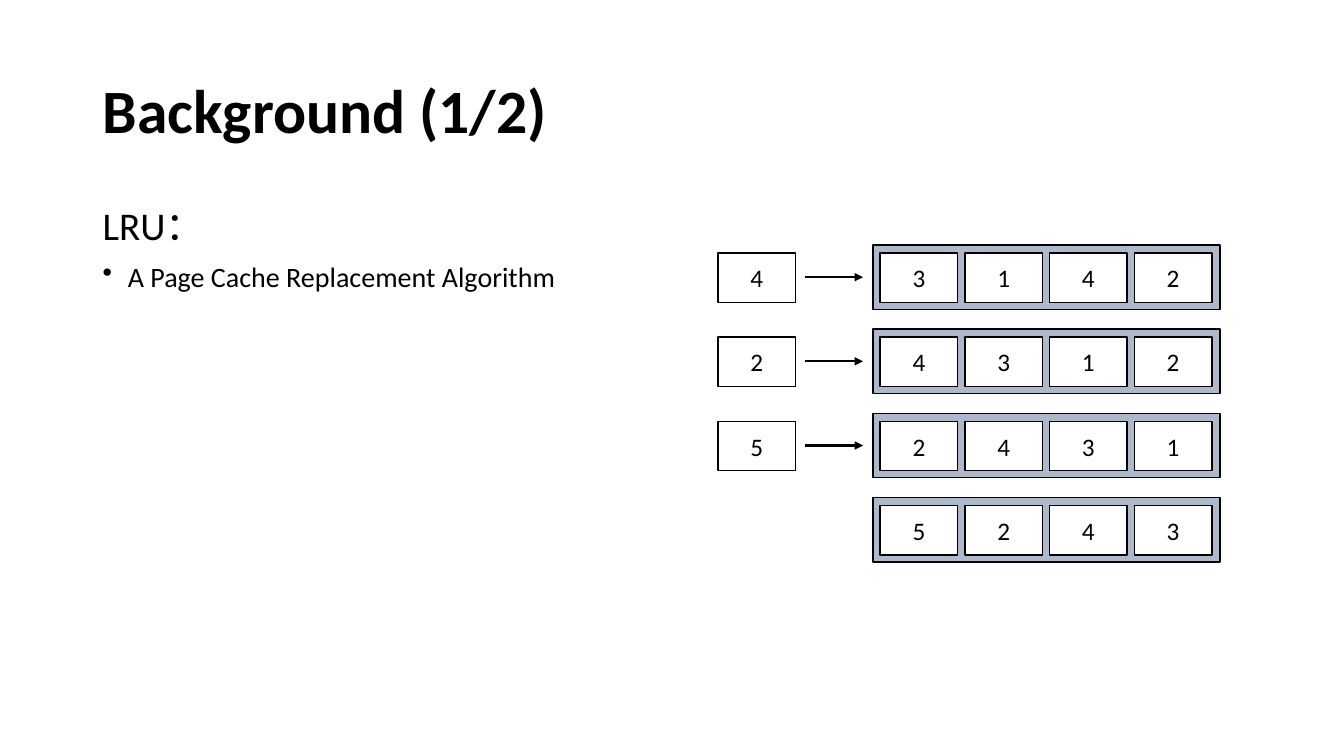
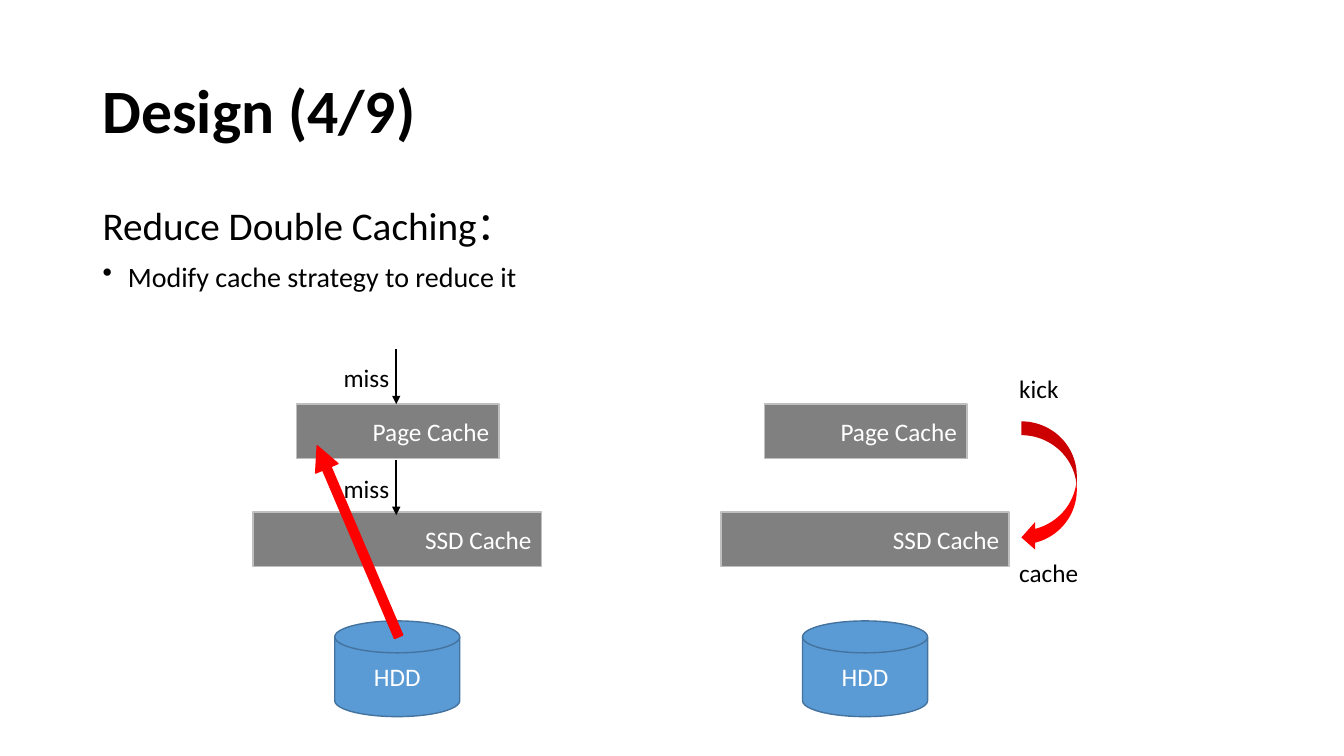
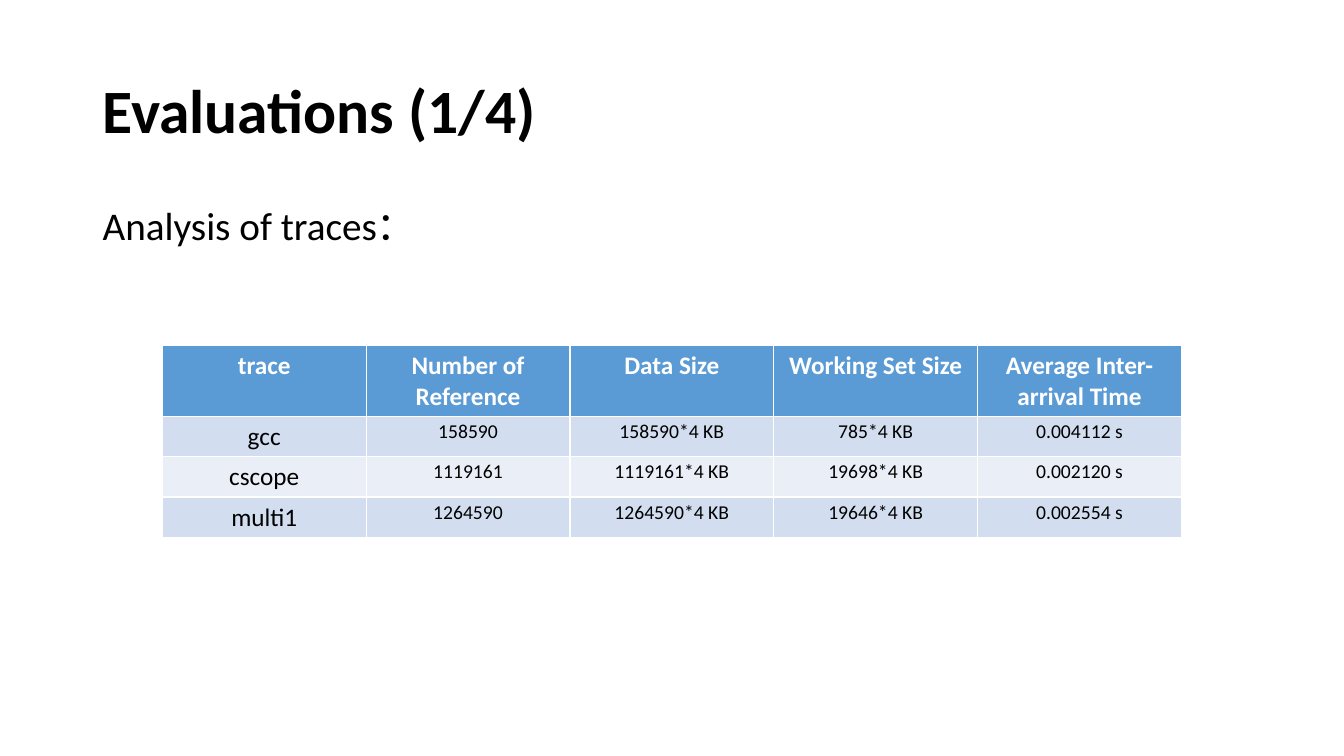
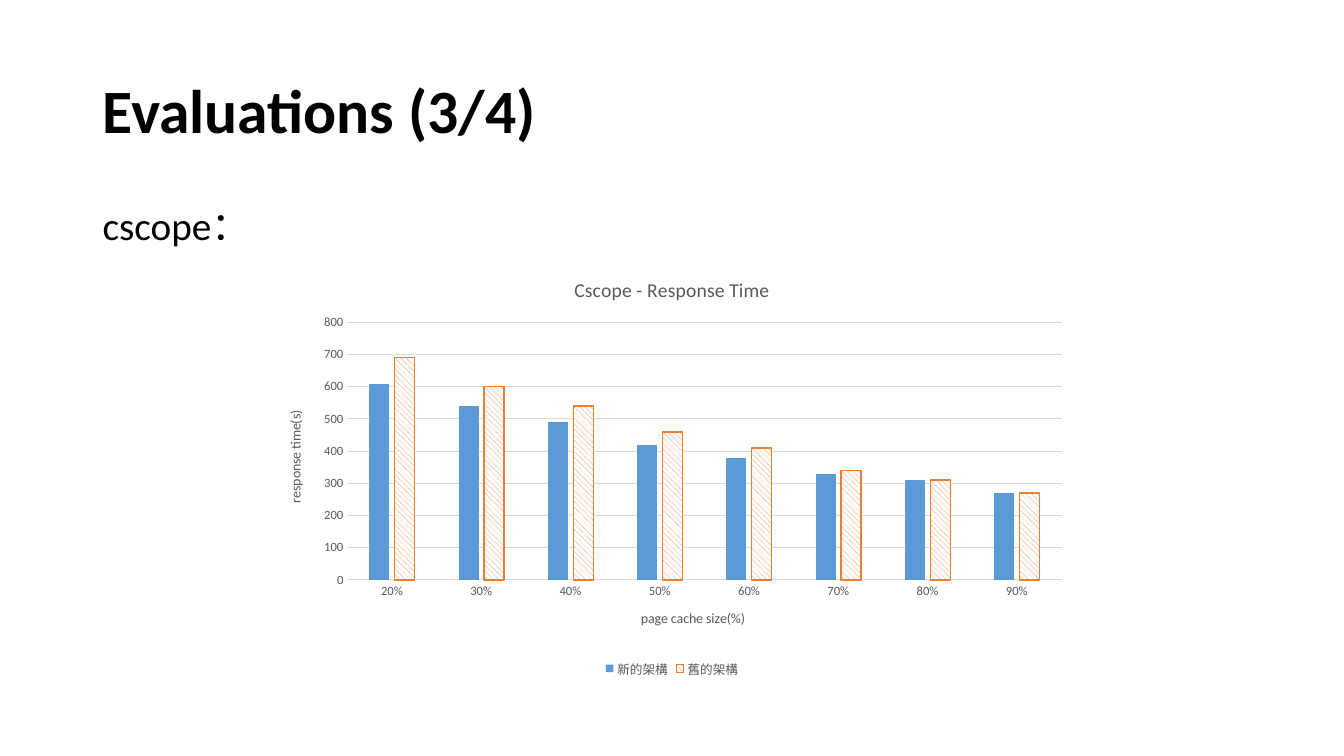
from lxml.etree import SubElement
from pptx import Presentation
from pptx.chart.data import CategoryChartData
from pptx.dml.color import RGBColor
from pptx.enum.chart import XL_CHART_TYPE, XL_LEGEND_POSITION, XL_TICK_MARK
from pptx.enum.dml import MSO_PATTERN
from pptx.enum.shapes import MSO_CONNECTOR, MSO_SHAPE
from pptx.enum.text import MSO_ANCHOR, PP_ALIGN
from pptx.oxml import parse_xml
from pptx.oxml.ns import nsdecls, qn
from pptx.util import Inches, Pt

FONT = "Calibri"
BLACK = RGBColor(0x00, 0x00, 0x00)
WHITE = RGBColor(0xFF, 0xFF, 0xFF)
RED = RGBColor(0xFF, 0x00, 0x00)
BLUE = RGBColor(0x5B, 0x9B, 0xD5)
DARK_BLUE = RGBColor(0x43, 0x73, 0x9E)
ORANGE = RGBColor(0xED, 0x7D, 0x31)
SLATE = RGBColor(0xAD, 0xB9, 0xCA)
GRAY = RGBColor(0x80, 0x80, 0x80)
SILVER = RGBColor(0xBF, 0xBF, 0xBF)
GRID_GRAY = RGBColor(0xD9, 0xD9, 0xD9)
CHART_TEXT = RGBColor(0x59, 0x59, 0x59)
BAND_DARK = RGBColor(0xD2, 0xDE, 0xEF)
BAND_LIGHT = RGBColor(0xEA, 0xEF, 0xF7)

SLIDES = [
    ("Background (1/2)", "LRU：", "A Page Cache Replacement Algorithm"),
    ("Design (4/9)", "Reduce Double Caching：", "Modify cache strategy to reduce it"),
    ("Evaluations (1/4)", "Analysis of traces：", None),
    ("Evaluations (3/4)", "cscope：", None),
]


def add_box(slide, kind, box, fill, line, text="", color=BLACK, align=PP_ALIGN.CENTER):
    """Add a preset shape with one line of 18 pt text."""
    shape = slide.shapes.add_shape(kind, *map(Inches, box))
    shape.shadow.inherit = False
    shape.fill.solid()
    shape.fill.fore_color.rgb = fill
    if line is None:
        shape.line.fill.background()
    else:
        shape.line.color.rgb = line
        shape.line.width = Pt(1)
    if text:
        shape.text_frame.vertical_anchor = MSO_ANCHOR.MIDDLE
        paragraph = shape.text_frame.paragraphs[0]
        paragraph.text = text
        paragraph.alignment = align
        paragraph.font.name = FONT
        paragraph.font.size = Pt(18)
        paragraph.font.color.rgb = color
    return shape


def add_arrow(slide, *ends):
    arrow = slide.shapes.add_connector(MSO_CONNECTOR.STRAIGHT, *map(Inches, ends))
    arrow.line.color.rgb = BLACK
    arrow.line.width = Pt(1.5)
    SubElement(arrow.line._get_or_add_ln(), qn("a:tailEnd"), type="triangle")
    SubElement(arrow._element.spPr, qn("a:effectLst"))


presentation = Presentation()
presentation.slide_width = Inches(13.33)
presentation.slide_height = Inches(7.5)

# Titles and body text of all slides
slides = []
for title, heading, bullet in SLIDES:
    slide = presentation.slides.add_slide(presentation.slide_layouts[6])
    slides.append(slide)
    title_frame = slide.shapes.add_textbox(
        Inches(0.92), Inches(0.4), Inches(11.5), Inches(1.45)).text_frame
    title_frame.vertical_anchor = MSO_ANCHOR.MIDDLE
    body_frame = slide.shapes.add_textbox(
        Inches(0.92), Inches(2), Inches(11.5), Inches(4.76)).text_frame
    lines = [(title_frame.paragraphs[0], title, 44), (body_frame.paragraphs[0], heading, 28)]
    if bullet:
        lines.append((body_frame.add_paragraph(), bullet, 20))
    for paragraph, text, size in lines:
        paragraph.text = text
        paragraph.line_spacing = 0.9
        paragraph.font.name = FONT
        paragraph.font.size = Pt(size)
        paragraph.font.color.rgb = BLACK
    title_frame.word_wrap = body_frame.word_wrap = True
    title_frame.paragraphs[0].font.bold = True
    for paragraph in body_frame.paragraphs:
        paragraph.space_before = Pt(10)
    if bullet:
        properties = body_frame.paragraphs[1]._p.get_or_add_pPr()
        properties.set("marL", str(Inches(0.25)))
        properties.set("indent", str(Inches(-0.25)))
        bullet_mark = parse_xml(f'<a:buChar {nsdecls("a")} char="•"/>')
        properties.find(qn("a:defRPr")).addprevious(bullet_mark)

lru_slide, caching_slide, traces_slide, response_slide = slides

# LRU: requested page on the left, cache contents on the right
for row, (request, pages) in enumerate([("4", "3142"), ("2", "4312"), ("5", "2431"), ("", "5243")]):
    top = 2.43 + 0.835 * row
    add_box(lru_slide, MSO_SHAPE.RECTANGLE, (8.66, top, 3.44, 0.64), SLATE, BLACK)
    cells = [(8.73 + 0.84 * column, page) for column, page in enumerate(pages)]
    if request:
        cells.append((7.12, request))
        add_arrow(lru_slide, 7.98, top + 0.32, 8.56, top + 0.32)
    for left, page in cells:
        add_box(lru_slide, MSO_SHAPE.RECTANGLE, (left, top + 0.08, 0.77, 0.49), WHITE, BLACK, page)

# Double caching: the same storage stack before and after
for left in (2.51, 7.15):
    add_box(caching_slide, MSO_SHAPE.FLOWCHART_MAGNETIC_DISK, (left + 0.81, 6.16, 1.24, 0.95),
            BLUE, DARK_BLUE, "HDD", WHITE)
    add_box(caching_slide, MSO_SHAPE.RECTANGLE, (left + 0.43, 4.01, 2.01, 0.54),
            GRAY, SILVER, "Page Cache", WHITE, PP_ALIGN.RIGHT)
    add_box(caching_slide, MSO_SHAPE.RECTANGLE, (left, 5.08, 2.86, 0.54),
            GRAY, SILVER, "SSD Cache", WHITE, PP_ALIGN.RIGHT)
for top in (3.46, 4.56):
    add_arrow(caching_slide, 3.93, top, 3.93, top + 0.55)
for text, left, top, width in [("miss", 3.31, 3.55, 0.66), ("miss", 3.31, 4.65, 0.66),
                               ("kick", 10.01, 3.65, 0.59), ("cache", 10.01, 5.48, 0.79)]:
    label = caching_slide.shapes.add_textbox(Inches(left), Inches(top), Inches(width), Inches(0.4))
    label.text_frame.word_wrap = False
    paragraph = label.text_frame.paragraphs[0]
    paragraph.text = text
    paragraph.font.name = FONT
    paragraph.font.size = Pt(18)
    paragraph.font.color.rgb = BLACK
read_arrow = add_box(caching_slide, MSO_SHAPE.RIGHT_ARROW, (2.52, 5.25, 2.06, 0.24), RED, RED)
read_arrow.rotation = 246.9
read_arrow.adjustments[0] = 0.37
read_arrow.adjustments[1] = 1.01
add_box(caching_slide, MSO_SHAPE.CURVED_LEFT_ARROW, (10.13, 4.18, 0.55, 1.29), RED, None)

# Trace table
TRACES = [
    ("trace", "Number of Reference", "Data Size", "Working Set Size", "Average Inter-arrival Time"),
    ("gcc", "158590", "158590*4 KB", "785*4 KB", "0.004112 s"),
    ("cscope", "1119161", "1119161*4 KB", "19698*4 KB", "0.002120 s"),
    ("multi1", "1264590", "1264590*4 KB", "19646*4 KB", "0.002554 s"),
]
table = traces_slide.shapes.add_table(
    len(TRACES), len(TRACES[0]), Inches(1.61), Inches(3.43), Inches(10.11), Inches(1.8)).table
for row, values in enumerate(TRACES):
    table.rows[row].height = Inches(0.38 if row else 0.66)
    for column, value in enumerate(values):
        cell = table.cell(row, column)
        cell.fill.solid()
        cell.fill.fore_color.rgb = BLUE if row == 0 else BAND_DARK if row % 2 else BAND_LIGHT
        is_measure = row > 0 and column > 0
        paragraph = cell.text_frame.paragraphs[0]
        paragraph.text = value
        paragraph.alignment = PP_ALIGN.CENTER
        paragraph.font.name = FONT
        paragraph.font.size = Pt(14 if is_measure else 18)
        paragraph.font.bold = row == 0
        paragraph.font.color.rgb = BLACK if row else WHITE
        if is_measure:
            paragraph.line_spacing = 1.15
            cell.margin_left = cell.margin_right = Inches(0.07)
            cell.margin_top = cell.margin_bottom = 0

# Response time chart
chart_data = CategoryChartData(number_format="0%")
chart_data.categories = ["20%", "30%", "40%", "50%", "60%", "70%", "80%", "90%"]
chart_data.add_series("新的架構", (610, 540, 490, 420, 380, 330, 310, 270), "General")
chart_data.add_series("舊的架構", (690, 600, 540, 460, 410, 340, 310, 270), "General")
chart = response_slide.shapes.add_chart(
    XL_CHART_TYPE.COLUMN_CLUSTERED, Inches(2.64), Inches(2.57), Inches(8.05), Inches(4.19),
    chart_data).chart
chart.font.name = FONT
chart.font.size = Pt(9)
chart.font.color.rgb = CHART_TEXT
chart.has_legend = True
chart.legend.position = XL_LEGEND_POSITION.BOTTOM
chart.legend.include_in_layout = False

category_axis, value_axis = chart.category_axis, chart.value_axis
for titled, text, size in [(chart, "Cscope - Response Time", 14),
                           (category_axis, "page cache size(%)", 10),
                           (value_axis, "response time(s)", 10)]:
    title_frame = (titled.chart_title if titled is chart else titled.axis_title).text_frame
    title_frame.text = text
    font = title_frame.paragraphs[0].font
    font.name = FONT
    font.size = Pt(size)
    font.bold = False
    font.color.rgb = CHART_TEXT
for axis in (category_axis, value_axis):
    axis.major_tick_mark = axis.minor_tick_mark = XL_TICK_MARK.NONE
value_axis.minimum_scale = 0
value_axis.maximum_scale = 800
value_axis.major_unit = 100
value_axis.format.line.fill.background()
for line in (category_axis.format.line, value_axis.major_gridlines.format.line):
    line.color.rgb = GRID_GRAY
    line.width = Pt(0.75)

plot = chart.plots[0]
plot.vary_by_categories = False
plot.gap_width = 219
plot.overlap = -27
new_series, old_series = plot.series
new_series.format.fill.solid()
new_series.format.fill.fore_color.rgb = BLUE
old_series.format.fill.patterned()
old_series.format.fill.pattern = MSO_PATTERN.WIDE_DOWNWARD_DIAGONAL
old_series.format.fill.fore_color.rgb = ORANGE
old_series.format.fill.back_color.rgb = WHITE
old_series.format.line.color.rgb = ORANGE
old_series.format.line.width = Pt(1)

# Fixed plot area, as fractions of the chart
plot_area = chart._chartSpace.chart.plotArea
for layout in plot_area.findall(qn("c:layout")):
    plot_area.remove(layout)
layout = parse_xml(f'<c:layout {nsdecls("c")}><c:manualLayout/></c:layout>')
for tag, value in [("layoutTarget", "inner"), ("xMode", "edge"), ("yMode", "edge"),
                   ("x", "0.1"), ("y", "0.15"), ("w", "0.88"), ("h", "0.61")]:
    SubElement(layout[0], qn(f"c:{tag}"), val=value)
plot_area.insert(0, layout)

presentation.save("out.pptx")
